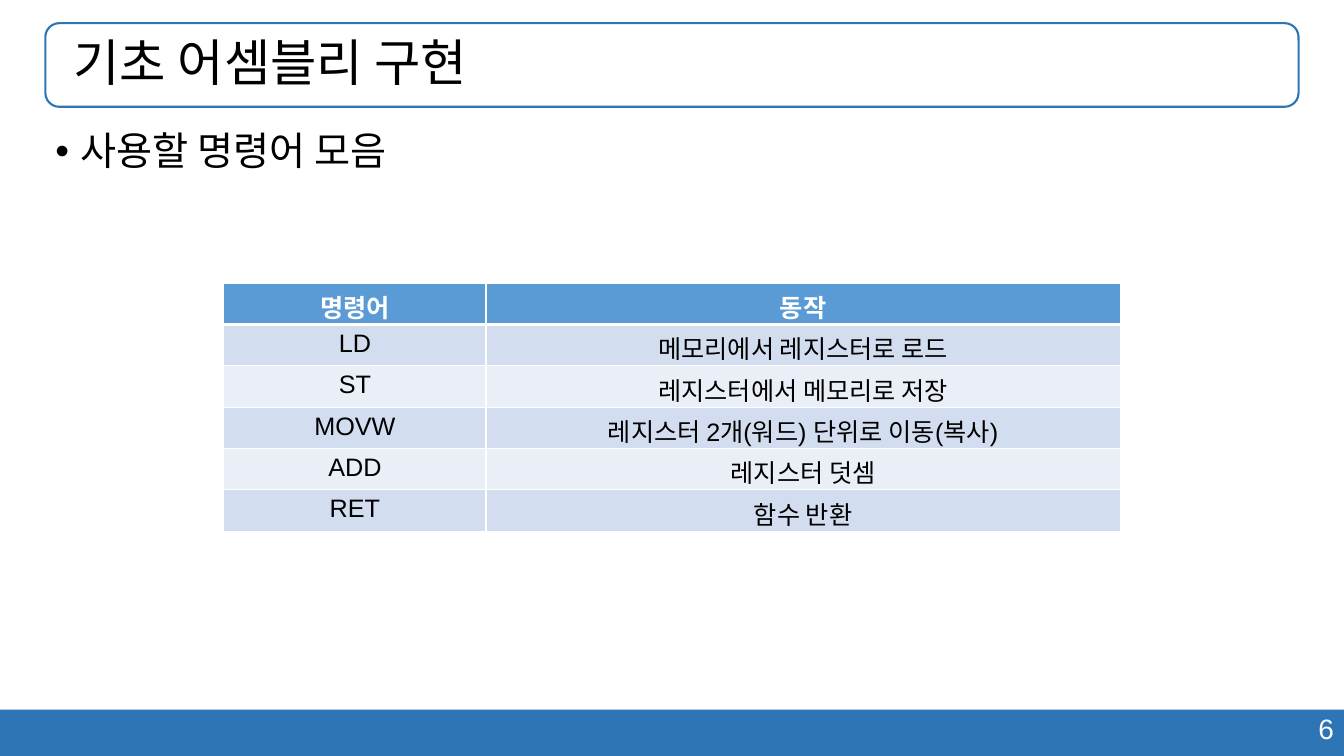
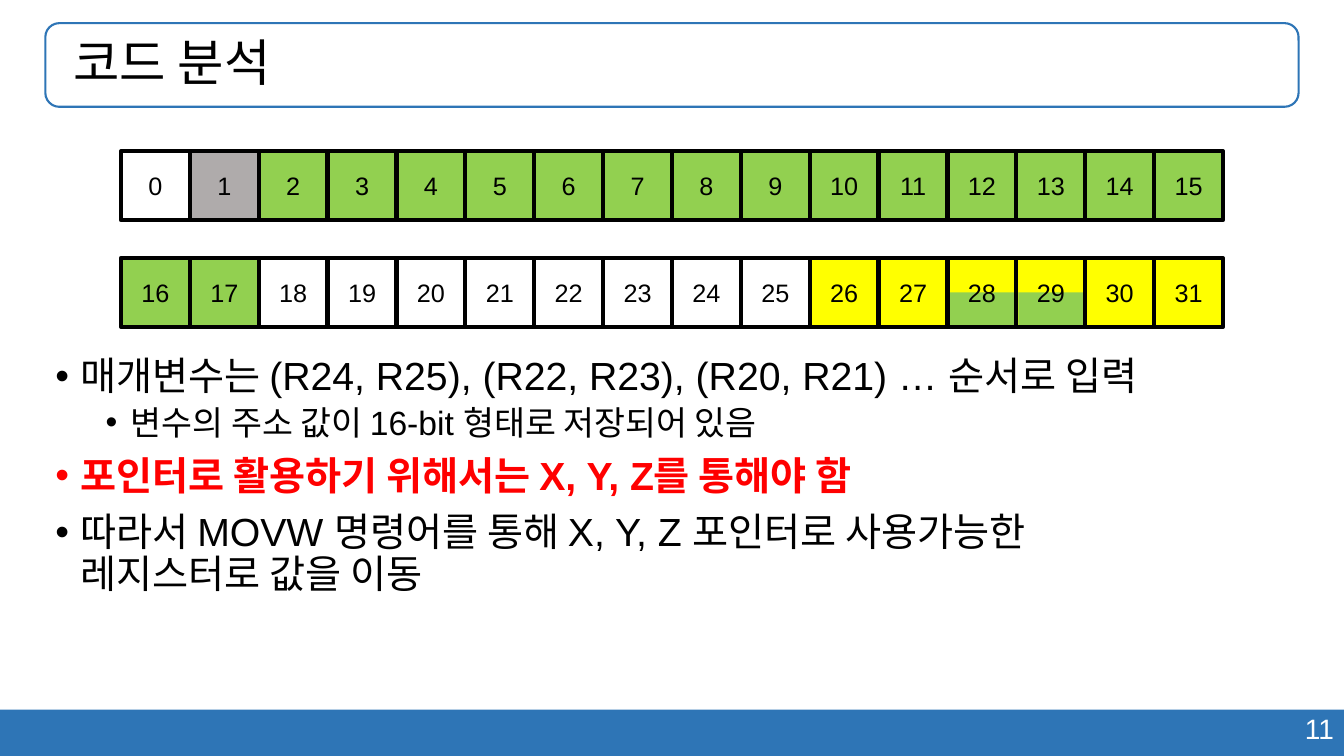
from lxml import etree
from pptx import Presentation
from pptx.dml.color import RGBColor
from pptx.enum.shapes import MSO_SHAPE
from pptx.enum.text import MSO_ANCHOR, PP_ALIGN
from pptx.oxml.ns import qn
from pptx.util import Inches, Pt

RECT = MSO_SHAPE.RECTANGLE
ROUNDED = MSO_SHAPE.ROUNDED_RECTANGLE
TOP, MIDDLE = MSO_ANCHOR.TOP, MSO_ANCHOR.MIDDLE
LEFT, CENTER, RIGHT = PP_ALIGN.LEFT, PP_ALIGN.CENTER, PP_ALIGN.RIGHT

FONT = "Arial"
COLORS = {
    "band": "2E75B6", "black": "000000", "white": "FFFFFF", "red": "FF0000",
    "header": "5B9BD5", "odd_row": "D2DEEF", "even_row": "EAEFF7",
    "gray": "AFABAB", "green": "92D050", "yellow": "FFFF00",
}
PAGE_WIDTH, PAGE_HEIGHT = 13.33, 7.5
MARGIN, CONTENT_WIDTH = 0.45, 12.43
BODY_BOTTOM = 6.79
BULLET_HANG = 0.25
BULLET_LEVELS = [(0.25, 28, 10), (0.75, 24, 5)]
REGISTERS_PER_ROW = 16
REGISTER_LEFT, REGISTER_SIZE = 1.2, 10.93 / REGISTERS_PER_ROW
SPLIT_REGISTERS = (28, 29)

INSTRUCTIONS = [
    ("명령어", "동작"),
    ("LD", "메모리에서 레지스터로 로드"),
    ("ST", "레지스터에서 메모리로 저장"),
    ("MOVW", "레지스터 2개(워드) 단위로 이동(복사)"),
    ("ADD", "레지스터 덧셈"),
    ("RET", "함수 반환"),
]
ANALYSIS = [
    ("매개변수는 (R24, R25), (R22, R23), (R20, R21) … 순서로 입력", 0, False),
    ("변수의 주소 값이 16-bit 형태로 저장되어 있음", 1, False),
    ("포인터로 활용하기 위해서는 X, Y, Z를 통해야 함", 0, True),
    ("따라서 MOVW 명령어를 통해 X, Y, Z 포인터로 사용가능한\n레지스터로 값을 이동", 0, False),
]


def rgb(name):
    """Return the named palette colour."""
    return RGBColor.from_string(COLORS[name])


def style_paragraph(para, size, color="black", bold=False, align=LEFT):
    """Set the font and alignment of a paragraph."""
    para.alignment = align
    font = para.font
    font.name, font.size, font.bold = FONT, Pt(size), bold
    font.color.rgb = rgb(color)


def add_box(shapes, kind, left, top, width, height, fill=None, line=None, weight=1.5):
    """Add a flat preset shape with optional fill and outline."""
    box = shapes.add_shape(kind, Inches(left), Inches(top), Inches(width), Inches(height))
    box.shadow.inherit = False
    if fill:
        box.fill.solid()
        box.fill.fore_color.rgb = rgb(fill)
    else:
        box.fill.background()
    if line:
        box.line.color.rgb = rgb(line)
        box.line.width = Pt(weight)
    else:
        box.line.fill.background()
    return box


def add_text_box(page, left, top, width, height):
    """Add a wrapping text box and return its text frame."""
    box = page.shapes.add_textbox(Inches(left), Inches(top), Inches(width), Inches(height))
    box.text_frame.word_wrap = True
    return box.text_frame


def add_page(deck, title, number):
    """Add a page with footer band, page number and framed title."""
    page = deck.slides.add_slide(deck.slide_layouts[6])
    add_box(page.shapes, RECT, 0, 7.04, PAGE_WIDTH, 0.46, fill="band")
    number_para = add_text_box(page, 9.43, 7.01, 3.9, 0.44).paragraphs[0]
    number_para.text = str(number)
    style_paragraph(number_para, 20, "white", align=RIGHT)
    frame = add_box(page.shapes, ROUNDED, MARGIN, 0.23, CONTENT_WIDTH, 0.83, line="band").text_frame
    frame.margin_left = Inches(0.24)
    frame.vertical_anchor = MIDDLE
    title_para = frame.paragraphs[0]
    title_para.text = title
    title_para.line_spacing = 0.9
    style_paragraph(title_para, 36)
    return page


def add_bullets(page, top, items):
    """Add a bulleted list of (text, level, emphasized) items."""
    frame = add_text_box(page, MARGIN, top, CONTENT_WIDTH, BODY_BOTTOM - top)
    for index, (text, level, emphasized) in enumerate(items):
        para = frame.add_paragraph() if index else frame.paragraphs[0]
        indent, size, space = BULLET_LEVELS[level]
        para.text = text
        para.level = level
        para.line_spacing = 0.9
        para.space_before = Pt(space if index else 0)
        properties = para._p.get_or_add_pPr()
        properties.set("marL", str(Inches(indent)))
        properties.set("indent", str(-Inches(BULLET_HANG)))
        etree.SubElement(properties, qn("a:buFont")).set("typeface", FONT)
        etree.SubElement(properties, qn("a:buChar")).set("char", "•")
        style_paragraph(para, size, "red" if emphasized else "black", emphasized)


def add_cell_borders(cell, bottom_weight):
    """Draw white borders on every side of a table cell."""
    properties = cell._tc.get_or_add_tcPr()
    for side, weight in (("L", 1), ("R", 1), ("T", 1), ("B", bottom_weight)):
        line = etree.SubElement(properties, qn(f"a:ln{side}"), w=str(Pt(weight)))
        fill = etree.SubElement(line, qn("a:solidFill"))
        etree.SubElement(fill, qn("a:srgbClr"), val=COLORS["white"])


def add_table(page, rows, left, top, column_widths, row_height):
    """Add a centred table with a header and banded rows."""
    table = page.shapes.add_table(
        len(rows), len(column_widths), Inches(left), Inches(top),
        Inches(sum(column_widths)), Inches(row_height * len(rows))).table
    for column, width in zip(table.columns, column_widths):
        column.width = Inches(width)
    for row_index, row in enumerate(rows):
        is_header = row_index == 0
        band = "header" if is_header else "odd_row" if row_index % 2 else "even_row"
        for column_index, text in enumerate(row):
            cell = table.cell(row_index, column_index)
            add_cell_borders(cell, 3 if is_header else 1)
            cell.fill.solid()
            cell.fill.fore_color.rgb = rgb(band)
            para = cell.text_frame.paragraphs[0]
            para.text = text
            style_paragraph(para, 18, "white" if is_header else "black", is_header, CENTER)


def register_fill(number):
    """Return the colour of a register, or None when it is unmarked."""
    if number == 1:
        return "gray"
    if 2 <= number <= 17:
        return "green"
    return "yellow" if number >= 26 else None


def add_register(shapes, number, left, top):
    """Add a numbered register square, half green when it is split."""
    fill = register_fill(number)
    if number in SPLIT_REGISTERS:
        half = REGISTER_SIZE / 2
        add_box(shapes, RECT, left, top, REGISTER_SIZE, REGISTER_SIZE, fill)
        add_box(shapes, RECT, left + 0.02, top + half, REGISTER_SIZE - 0.04, half, "green")
        fill = None
    frame = add_box(shapes, RECT, left, top, REGISTER_SIZE, REGISTER_SIZE, fill, "black", 3).text_frame
    frame.margin_left = frame.margin_right = 0
    frame.vertical_anchor = MIDDLE
    para = frame.paragraphs[0]
    para.text = str(number)
    style_paragraph(para, 18, align=CENTER)


def add_register_row(page, first, top):
    """Add one grouped row of consecutive registers."""
    group = page.shapes.add_group_shape()
    for index in range(REGISTERS_PER_ROW):
        add_register(group.shapes, first + index, REGISTER_LEFT + index * REGISTER_SIZE, top)


def main():
    """Build and save the deck."""
    deck = Presentation()
    deck.slide_width, deck.slide_height = Inches(PAGE_WIDTH), Inches(PAGE_HEIGHT)

    page = add_page(deck, "기초 어셈블리 구현", 6)
    add_bullets(page, 1.26, [("사용할 명령어 모음", 0, False)])
    add_table(page, INSTRUCTIONS, 2.22, 2.81, (2.6, 6.29), 0.41)

    page = add_page(deck, "코드 분석", 11)
    add_bullets(page, 3.49, ANALYSIS)
    for row, top in enumerate((1.5, 2.56)):
        add_register_row(page, row * REGISTERS_PER_ROW, top)

    deck.save("out.pptx")


if __name__ == "__main__":
    main()
